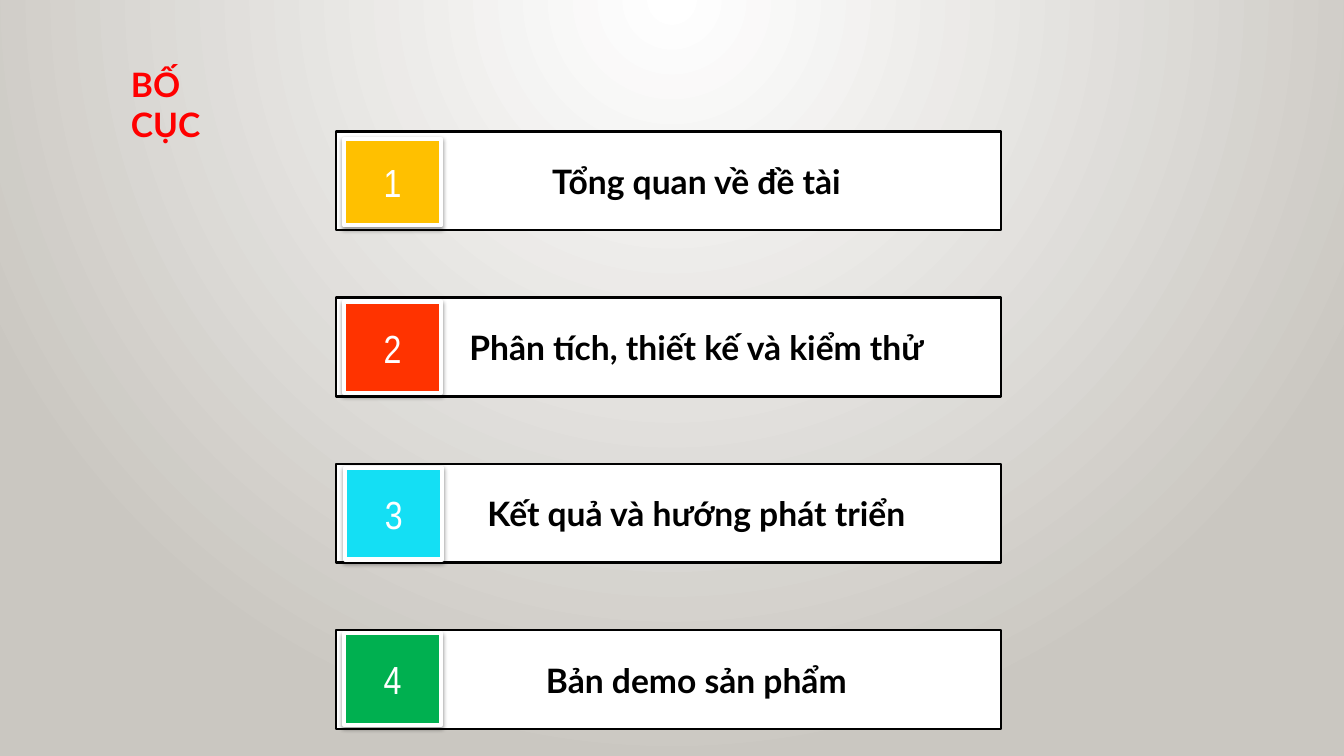
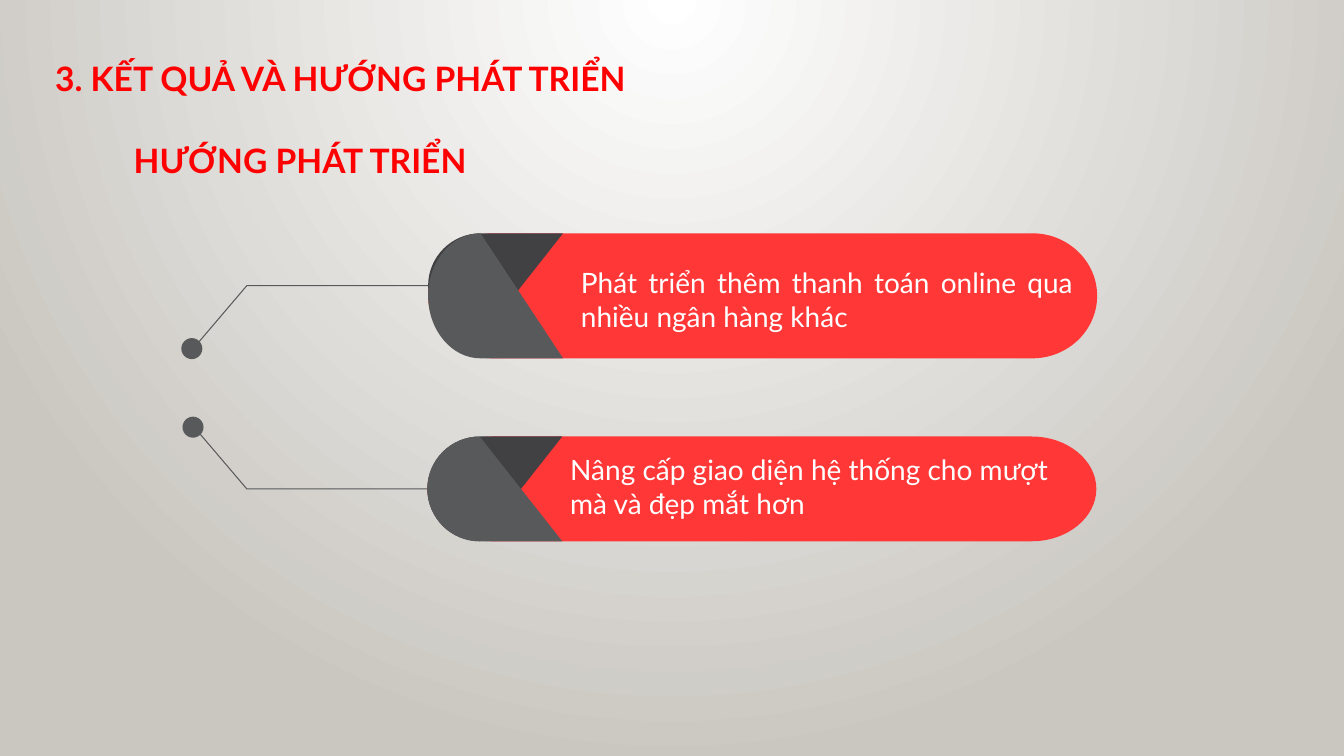
"""Builds the outline slide and the future work slide of a project talk."""
from lxml.etree import SubElement
from pptx import Presentation
from pptx.dml.color import RGBColor
from pptx.enum.shapes import MSO_SHAPE
from pptx.enum.text import MSO_ANCHOR, PP_ALIGN
from pptx.oxml.ns import qn
from pptx.util import Cm, Pt

THEME = {
    "page": (33.87, 19.05),
    "white": "FFFFFF",
    "black": "000000",
    "backdrop": "CAC7C1",
    "pill": "FF3737",
    "fold": "414042",
    "grey": "58595B",
    "title": ({"name": "Lato", "size": Pt(24), "bold": True}, "FF0000"),
    "bar": ({"name": "Lato", "size": Pt(24), "bold": True}, "000000"),
    "number": ({"name": "Arial Narrow", "size": Pt(28)}, "FFFFFF"),
    "body": ({"name": "Lato", "size": Pt(20)}, "FFFFFF"),
}

OUTLINE_TITLES = [("BỐ CỤC", (3.05, 1.48, 3.05, 1.27), True)]
OUTLINE = [
    {"text": "Tổng quan về đề tài", "colour": "FFC000", "number": (8.67, 3.5, 2.45, 2.18)},
    {"text": "Phân tích, thiết kế và kiểm thử", "colour": "FF3300", "number": (8.67, 7.6, 2.45, 2.31)},
    {"text": "Kết quả và hướng phát triển", "colour": "14DFF4", "number": (8.7, 11.79, 2.45, 2.31)},
    {"text": "Bản demo sản phẩm", "colour": "00B050", "number": (8.67, 15.96, 2.45, 2.31)},
]
BAR = {"left": 8.47, "top": 3.31, "width": 16.76, "height": 2.49, "step": 4.19, "indent": 1.65}

PLAN_TITLES = [
    ("HƯỚNG PHÁT TRIỂN", (3.12, 3.4, 8.94, 1.27), False),
    ("3. KẾT QUẢ VÀ HƯỚNG PHÁT TRIỂN", (1.14, 1.34, 15.37, 1.27), False),
]
PLANS = [
    {"lines": ["Phát triển thêm thanh toán online qua nhiều ngân hàng khác"],
     "left": 10.79, "top": 5.88, "height": 3.15, "bend": 1,
     "dot": (4.57, 8.52), "text": (14.39, 6.57, 12.9, 1.96)},
    {"lines": ["Nâng cấp giao diện hệ thống cho mượt", "mà và đẹp mắt hơn"],
     "left": 10.77, "top": 11, "height": 2.64, "bend": -1,
     "dot": (4.6, 10.5), "text": (14.12, 11.28, 12.9, 1.96)},
]
PILL = {"width": 16.86, "cap": 1.63}
WEDGE = {"width": 3.4, "cap": 1.32, "fold": 2.64}
BRANCH = {"drop": 1.32, "elbow": 6.22, "end": 4.9, "rise": 1.55, "dot": 0.53}
ARC = 0.55


def lengths(values):
    return [Cm(value) for value in values]


def write(shape, lines, style, align, wrap=True, **frame_format):
    """Fill a shape with one paragraph a line."""
    frame = shape.text_frame
    frame.word_wrap = wrap
    for name, value in frame_format.items():
        setattr(frame, name, value)
    font_format, colour = THEME[style]
    for index, line in enumerate(lines):
        para = frame.paragraphs[0] if index == 0 else frame.add_paragraph()
        para.alignment = align
        span = para.add_run()
        span.text = line
        for name, value in font_format.items():
            setattr(span.font, name, value)
        span.font.color.rgb = RGBColor.from_string(colour)


def paint(shape, fill=None, line=None, width=0):
    """Set fill and outline and drop the shadow."""
    shape.shadow.inherit = False
    for target, colour in ((shape.fill, fill), (shape.line.fill, line)):
        if colour:
            target.solid()
            target.fore_color.rgb = RGBColor.from_string(colour)
        else:
            target.background()
    if line:
        shape.line.width = Pt(width)
    return shape


def add_preset(page, kind, place, *look):
    return paint(page.shapes.add_shape(kind, *lengths(place)), *look)


def add_outline(page, start, segments, *look, close=True):
    """Draw segments of one point as lines and of three points as curves."""
    builder = page.shapes.build_freeform(*lengths(start), scale=1.0)
    builder.add_line_segments([lengths(point) for segment in segments for point in segment], close=close)
    shape = paint(builder.convert_to_shape(), *look)
    nodes = iter(list(shape.element.iter(qn("a:lnTo"))))
    for segment in segments:
        first, *others = [next(nodes) for _ in segment]
        if others:
            first.tag = qn("a:cubicBezTo")
        for node in others:
            first.append(node[0])
            node.getparent().remove(node)
    return shape


def cap(x, start_y, end_y, radius):
    """Two quarter curves; a negative radius bulges to the left."""
    middle, edge = (start_y + end_y) / 2, x + radius
    bulge, reach = x + radius * ARC, (end_y - start_y) / 2 * ARC
    return [
        [(bulge, start_y), (edge, middle - reach), (edge, middle)],
        [(edge, middle + reach), (bulge, end_y), (x, end_y)],
    ]


def soft_shadow(shape):
    effects = shape.element.spPr.find(qn("a:effectLst"))
    shadow = SubElement(effects, qn("a:outerShdw"), blurRad="40000", dist="20000",
                        dir="5400000", rotWithShape="0")
    colour = SubElement(shadow, qn("a:srgbClr"), val=THEME["black"])
    SubElement(colour, qn("a:alpha"), val="38000")


def set_backdrop(master):
    """Give every slide the radial gradient."""
    fill = master.background.fill
    fill.gradient()
    for stop, name in zip(fill.gradient_stops, ("white", "backdrop")):
        stop.color.rgb = RGBColor.from_string(THEME[name])
    gradient = next(master.element.iter(qn("a:gradFill")))
    gradient.remove(gradient.find(qn("a:lin")))
    circle = SubElement(gradient, qn("a:path"), {"path": "circle"})
    SubElement(circle, qn("a:fillToRect"), l="43000", t="0", r="43000", b="100000")


def add_page(deck, titles):
    page = deck.slides.add_slide(deck.slide_layouts[6])
    for text, place, wrap in titles:
        box = page.shapes.add_textbox(*lengths(place))
        write(box, [text], "title", PP_ALIGN.LEFT, wrap)
    return page


def add_outline_row(page, index, item):
    place = (BAR["left"], BAR["top"] + index * BAR["step"], BAR["width"], BAR["height"])
    bar = add_preset(page, MSO_SHAPE.RECTANGLE, place, THEME["white"], THEME["black"], 1.75)
    write(bar, [item["text"]], "bar", PP_ALIGN.CENTER,
          vertical_anchor=MSO_ANCHOR.MIDDLE, margin_left=Cm(BAR["indent"]))
    number = add_preset(page, MSO_SHAPE.RECTANGLE, item["number"], item["colour"], THEME["white"], 3)
    soft_shadow(number)
    write(number, [str(index + 1)], "number", PP_ALIGN.CENTER, vertical_anchor=MSO_ANCHOR.MIDDLE)


def add_plan(page, plan):
    left, top, height = plan["left"], plan["top"], plan["height"]
    bottom = top + height
    near, far = left + PILL["cap"], left + PILL["width"] - PILL["cap"]
    segments = [[(far, top)], *cap(far, top, bottom, PILL["cap"]),
                [(near, bottom)], *cap(near, bottom, top, -PILL["cap"])]
    add_outline(page, (near, top), segments, THEME["pill"])

    tip, fold_x = left + WEDGE["width"], left + WEDGE["cap"]
    for start_y, end_y, colour in ((top, top + WEDGE["fold"], "fold"), (bottom, top, "grey")):
        segments = [[(fold_x, start_y)], *cap(fold_x, start_y, end_y, -WEDGE["cap"])]
        add_outline(page, (tip, start_y), segments, THEME[colour])

    level = top + BRANCH["drop"]
    end = (BRANCH["end"], level + plan["bend"] * BRANCH["rise"])
    add_outline(page, (left, level), [[(BRANCH["elbow"], level)], [end]],
                None, THEME["grey"], 0.75, close=False)
    add_preset(page, MSO_SHAPE.OVAL, (*plan["dot"], BRANCH["dot"], BRANCH["dot"]), THEME["grey"])

    box = page.shapes.add_textbox(*lengths(plan["text"]))
    write(box, plan["lines"], "body", PP_ALIGN.JUSTIFY)


def main():
    deck = Presentation()
    deck.slide_width, deck.slide_height = lengths(THEME["page"])
    set_backdrop(deck.slide_master)
    page = add_page(deck, OUTLINE_TITLES)
    for index, item in enumerate(OUTLINE):
        add_outline_row(page, index, item)
    page = add_page(deck, PLAN_TITLES)
    for plan in PLANS:
        add_plan(page, plan)
    deck.save("out.pptx")


if __name__ == "__main__":
    main()
